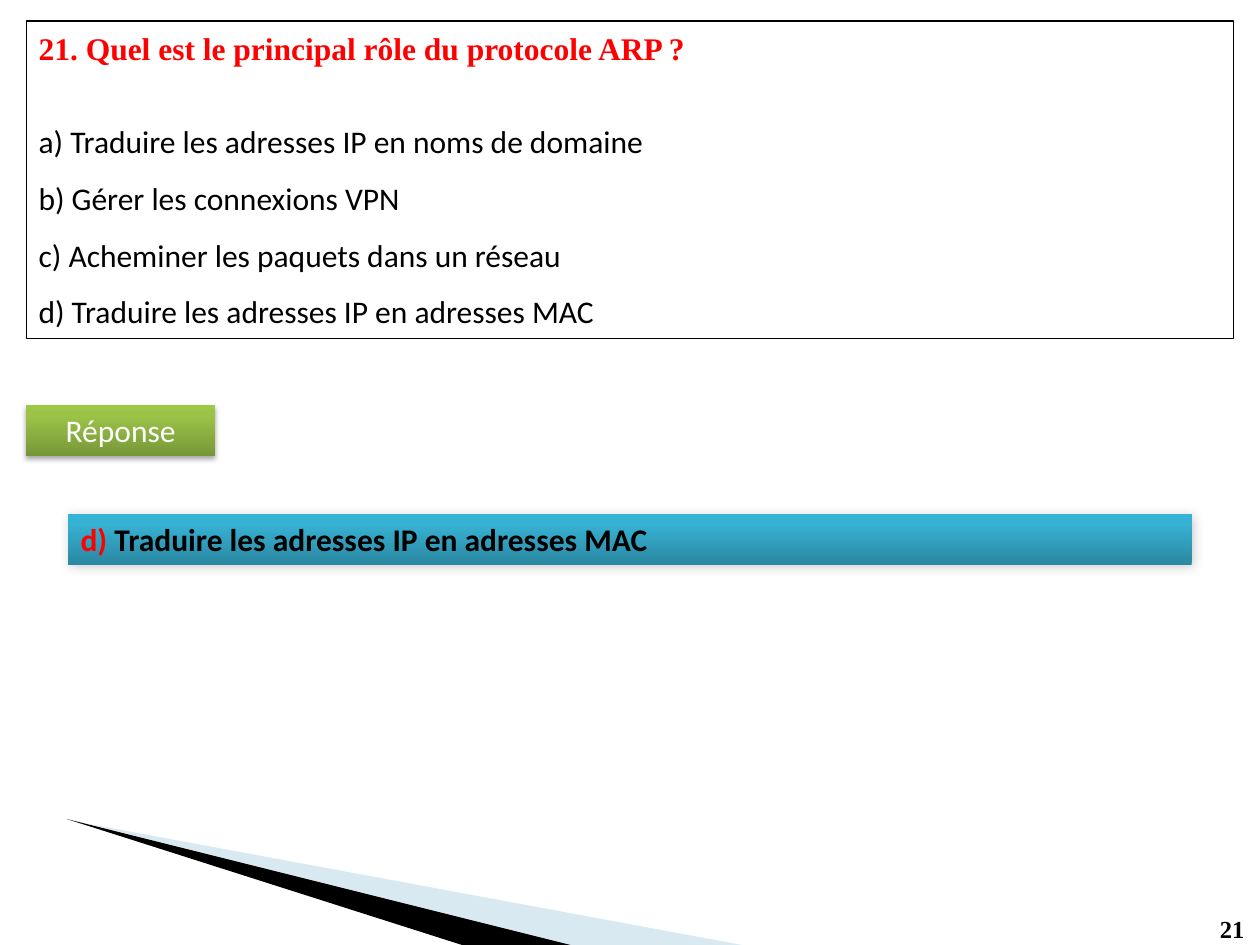
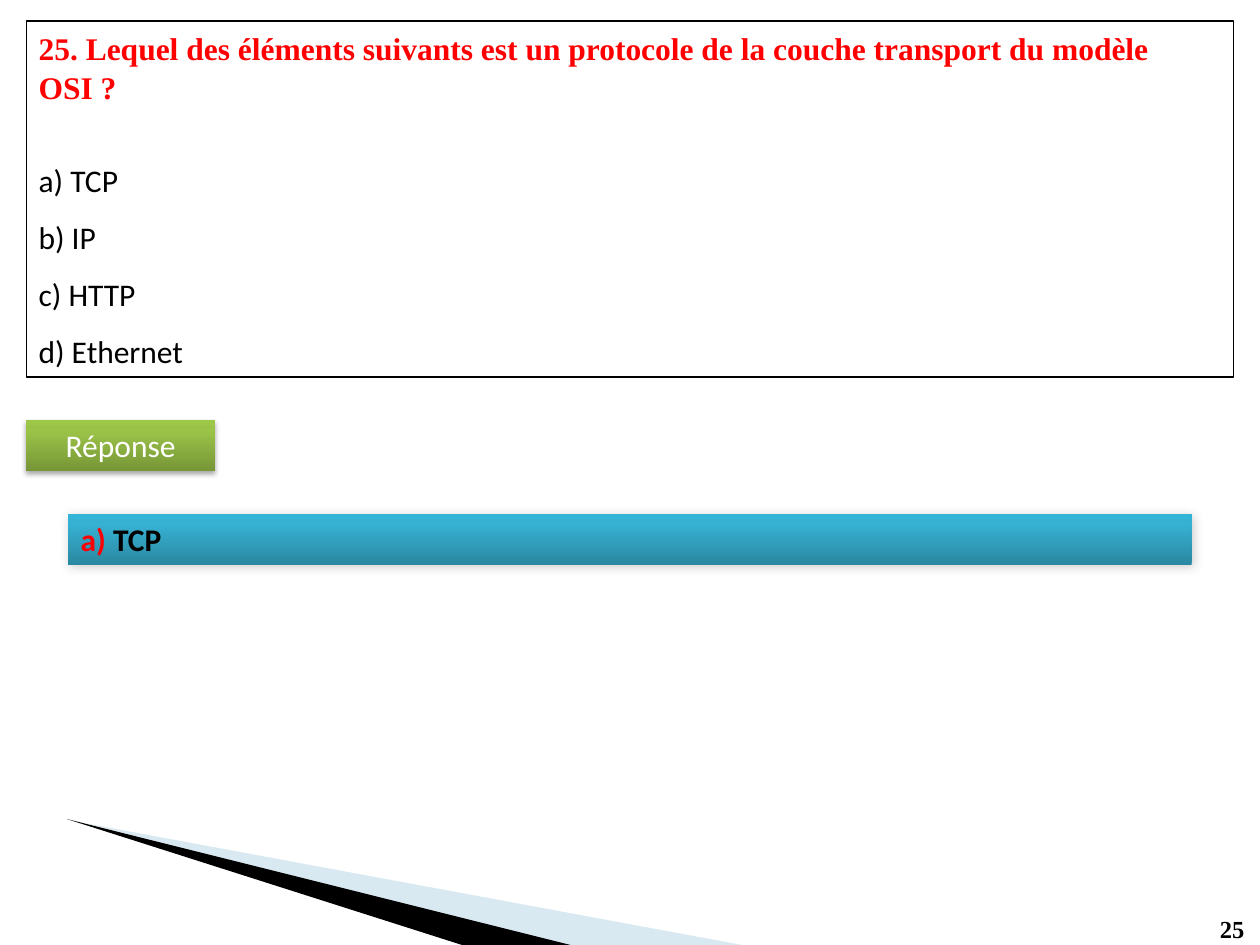
import pptx
import pptx.dml.color
import pptx.enum.shapes
import pptx.enum.text
import pptx.oxml
import pptx.oxml.ns
import pptx.util
from lxml import etree

Pt = pptx.util.Pt
ALIGN = pptx.enum.text.PP_ALIGN
SLIDE_WIDTH, SLIDE_HEIGHT = 720, 540
TITLE_FONT, BODY_FONT = "Times New Roman", "Calibri"
COLORS = {
    "black": "000000",
    "white": "FFFFFF",
    "red": "FF0000",
    "pale_blue": "9FCADC",
}
# Gradient stops run from the bottom edge up: (percent, colour)
GREEN_STOPS = [(0, "779737"), (80, "9BC348"), (100, "9DC746")]
BLUE_STOPS = [(0, "2A88A2"), (80, "37B1D2"), (100, "34B4D6")]
# Shadows: opacity percent, blur, distance, direction in degrees
LABEL_SHADOW = (35, 3.1, 1.8, 90)
ANSWER_SHADOW = (20, 6, 1, 45)

QUESTIONS = [
    {
        "number": "21",
        "title": "21. Quel est le principal rôle du protocole ARP ?",
        "options": [
            "a) Traduire les adresses IP en noms de domaine",
            "b) Gérer les connexions VPN",
            "c) Acheminer les paquets dans un réseau",
            "d) Traduire les adresses IP en adresses MAC",
        ],
        "answer": ("d) ", "Traduire les adresses IP en adresses MAC"),
        "question_height": 181.4,
        "label_top": 231.5,
    },
    {
        "number": "25",
        "title": "25. Lequel des éléments suivants est un protocole de la couche "
                 "transport du modèle OSI ?",
        "options": ["a) TCP", "b) IP", "c) HTTP", "d) Ethernet"],
        "answer": ("a) ", "TCP"),
        "question_height": 203.5,
        "label_top": 240,
    },
]


def rgb(name):
    return pptx.dml.color.RGBColor.from_string(COLORS[name])


def set_font(font, name, size, color, bold=False):
    font.name, font.size, font.bold = name, Pt(size), bold
    font.color.rgb = rgb(color)


def add_child(parent, tag, **attributes):
    child = etree.SubElement(parent, pptx.oxml.ns.qn(tag))
    for key, value in attributes.items():
        child.set(key, str(value))
    return child


def add_rectangle(slide, left, top, width, height):
    shape = slide.shapes.add_shape(
        pptx.enum.shapes.MSO_SHAPE.RECTANGLE,
        Pt(left), Pt(top), Pt(width), Pt(height))
    shape.shadow.inherit = False
    shape.text_frame.word_wrap = True
    shape.text_frame.vertical_anchor = pptx.enum.text.MSO_ANCHOR.TOP
    return shape


def add_glossy_bar(slide, box, stops, shadow):
    """Rectangle with a vertical gradient and a soft shadow."""
    shape = add_rectangle(slide, *box)
    shape.line.fill.background()
    shape.fill.gradient()
    shape.fill.gradient_angle = 90
    properties = shape.element.spPr
    stop_list = properties.find(".//" + pptx.oxml.ns.qn("a:gsLst"))
    for stop in list(stop_list):
        stop_list.remove(stop)
    for percent, color in stops:
        stop = add_child(stop_list, "a:gs", pos=percent * 1000)
        add_child(stop, "a:srgbClr", val=color)

    opacity, blur, distance, direction = shadow
    effects = properties.find(pptx.oxml.ns.qn("a:effectLst"))
    outer = add_child(effects, "a:outerShdw", blurRad=int(Pt(blur)),
                      dist=int(Pt(distance)), dir=direction * 60000,
                      rotWithShape=0)
    color = add_child(outer, "a:srgbClr", val=COLORS["black"])
    add_child(color, "a:alpha", val=opacity * 1000)
    return shape


def add_wedge(slide, points, color, opacity=100):
    builder = slide.shapes.build_freeform(*points[0], scale=int(Pt(1)))
    builder.add_line_segments(points[1:], close=True)
    shape = builder.convert_to_shape()
    shape.shadow.inherit = False
    shape.line.fill.background()
    shape.fill.solid()
    shape.fill.fore_color.rgb = rgb(color)
    if opacity < 100:
        color_element = shape.element.spPr.find(
            ".//" + pptx.oxml.ns.qn("a:srgbClr"))
        add_child(color_element, "a:alpha", val=opacity * 1000)


def add_corner_decoration(slide, left, top):
    """Two thin wedges fanning out to the bottom edge."""
    bottom = SLIDE_HEIGHT
    add_wedge(slide, [(left + 1.2, top), (left + 286.5, bottom),
                      (left + 386, bottom), (left + 8, top + 2)],
              "pale_blue", opacity=40)
    add_wedge(slide, [(left, top), (left + 226, bottom),
                      (left + 288, bottom)], "black")


def add_page_number(slide, left, top, number):
    box = slide.shapes.add_textbox(Pt(left), Pt(top), Pt(28.8), Pt(24.2))
    box.text_frame.word_wrap = False
    paragraph = box.text_frame.paragraphs[0]
    paragraph.text = number
    set_font(paragraph.font, TITLE_FONT, 14, "black", bold=True)


def add_question(slide, box, title, options):
    shape = add_rectangle(slide, *box)
    shape.fill.background()
    shape.line.color.rgb = rgb("black")
    shape.line.width = Pt(0.75)
    frame = shape.text_frame
    frame.margin_right = Pt(20)
    paragraph = frame.paragraphs[0]
    paragraph.text = title
    paragraph.alignment = ALIGN.LEFT
    paragraph.line_spacing = 1.04
    set_font(paragraph.font, TITLE_FONT, 18, "red", bold=True)
    for index, option in enumerate(options):
        paragraph = frame.add_paragraph()
        paragraph.text = option
        paragraph.alignment = ALIGN.LEFT
        paragraph.line_spacing = 1.5
        paragraph.space_before = Pt(0 if index else 21)
        set_font(paragraph.font, BODY_FONT, 18, "black")


def add_answer_label(slide, box):
    shape = add_glossy_bar(slide, box, GREEN_STOPS, LABEL_SHADOW)
    paragraph = shape.text_frame.paragraphs[0]
    paragraph.text = "Réponse"
    paragraph.alignment = ALIGN.CENTER
    set_font(paragraph.font, BODY_FONT, 18, "white")


def add_answer(slide, box, answer):
    shape = add_glossy_bar(slide, box, BLUE_STOPS, ANSWER_SHADOW)
    paragraph = shape.text_frame.paragraphs[0]
    paragraph.alignment = ALIGN.JUSTIFY
    for text, color in zip(answer, ("red", "black")):
        run = paragraph.add_run()
        run.text = text
        set_font(run.font, BODY_FONT, 18, color, bold=True)


def add_question_slide(presentation, question):
    slide = presentation.slides.add_slide(presentation.slide_layouts[6])
    margin, indent, bar_height = 15, 39, 29
    add_corner_decoration(slide, 38, 468)
    add_page_number(slide, 690, 518.5, question["number"])
    add_question(slide, (margin, 12, SLIDE_WIDTH - 2 * margin,
                         question["question_height"]),
                 question["title"], question["options"])
    add_answer_label(slide, (margin, question["label_top"], 108, bar_height))
    add_answer(slide, (indent, 293.6, SLIDE_WIDTH - 2 * indent, bar_height),
               question["answer"])


def main():
    presentation = pptx.Presentation()
    presentation.slide_width = Pt(SLIDE_WIDTH)
    presentation.slide_height = Pt(SLIDE_HEIGHT)
    for question in QUESTIONS:
        add_question_slide(presentation, question)
    presentation.save("out.pptx")


if __name__ == "__main__":
    main()
